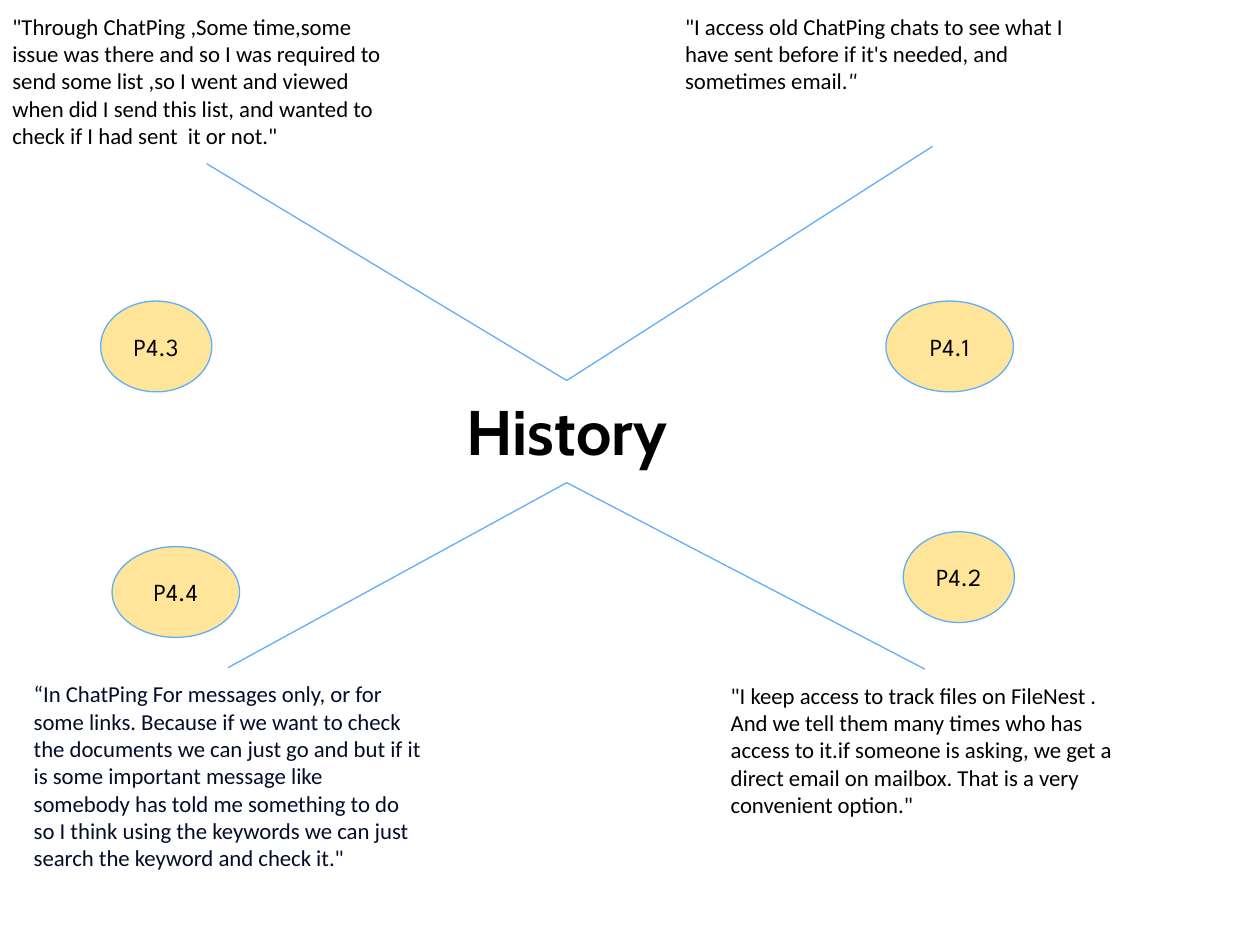
from collections import namedtuple

from lxml.etree import SubElement
from pptx import Presentation
from pptx.dml.color import RGBColor
from pptx.enum.shapes import MSO_CONNECTOR, MSO_SHAPE
from pptx.enum.text import MSO_ANCHOR, MSO_AUTO_SIZE, PP_ALIGN
from pptx.oxml.ns import qn
from pptx.util import Cm, Pt

COLORS = {"ink": "000000", "navy": "040C28", "line": "60AEFA", "badge": "FFE599"}
MARGIN = 0.25
QUOTE_WIDTH = 8.33
BADGE_HEIGHT = 1.83
TOP, BOTTOM = 0, 2

Box = namedtuple("Box", "left top width height")
# badge and line_end are offsets from the quote's top left corner;
# without line_end the line joins the side of the quote facing the theme
Branch = namedtuple("Branch", "label box badge badge_width ink line_end quote")

THEME_BOX = Box(7.26, 7.67, 8.33, 2.06)

BRANCHES = [
    Branch("P4.3", Box(0, 0, QUOTE_WIDTH, 3.3), (2.03, 6.07), 2.24, "ink", None,
           '"Through ChatPing ,Some time,some issue was there and so I was required '
           'to send some list ,so I went and viewed when did I send this list, and '
           'wanted to check if I had sent  it or not."'),
    Branch("P4.1", Box(13.56, 0, QUOTE_WIDTH, 2.18), (4.3, 6.07), 2.57, "ink", (5.24, 2.95),
           '"I access old ChatPing chats to see what I have sent before if it\'s '
           'needed, and sometimes email."'),
    Branch("P4.4", Box(0.43, 13.46, QUOTE_WIDTH, 4.39), (1.83, -2.44), 2.57, "navy", None,
           '“In ChatPing For messages only, or for some links. Because if we want '
           'to check the documents we can just go and but if it is some important '
           'message like somebody has told me something to do so I think using the '
           'keywords we can just search the keyword and check it."'),
    Branch("P4.2", Box(14.48, 13.49, QUOTE_WIDTH, 3.86), (3.73, -2.77), 2.24, "ink", None,
           '"I keep access to track files on FileNest . And we tell them many times '
           'who has access to it.if someone is asking, we get a direct email on '
           'mailbox. That is a very convenient option."'),
]


def color(name):
    return RGBColor.from_string(COLORS[name])


def set_all(target, values):
    for name, value in values.items():
        setattr(target, name, value)


def write(shape, text, font, ink="ink", align=PP_ALIGN.LEFT, **frame_format):
    frame = shape.text_frame
    set_all(frame, {"word_wrap": True, **frame_format})
    for side in ("left", "top", "right", "bottom"):
        setattr(frame, f"margin_{side}", Cm(MARGIN))
    paragraph = frame.paragraphs[0]
    paragraph.alignment = align
    run = paragraph.add_run()
    run.text = text
    set_all(run.font, font)
    run.font.color.rgb = color(ink)
    return paragraph


def style_line(line):
    line.color.rgb = color("line")
    line.width = Pt(0.75)


def add_text(slide, box, *args, **kwargs):
    text_box = slide.shapes.add_textbox(*map(Cm, box))
    write(text_box, *args, auto_size=MSO_AUTO_SIZE.SHAPE_TO_FIT_TEXT, **kwargs)
    return text_box


def add_theme(slide, box):
    return add_text(slide, box, "History", {"size": Pt(36), "name": "Cabin", "bold": True},
                    align=PP_ALIGN.CENTER)


def add_branch(slide, theme, branch):
    box = branch.box
    above = box.top < THEME_BOX.top

    # Quote
    quote = add_text(slide, box, branch.quote, {"size": Pt(13), "name": "Calibri"}, branch.ink)
    # The closing mark of the P4.1 quote is slanted
    if branch.label == "P4.1":
        run = quote.text_frame.paragraphs[0].runs[0]
        run.text = branch.quote[:-1]
        closing = quote.text_frame.paragraphs[0].add_run()
        closing.text = branch.quote[-1]
        set_all(closing.font, {"size": Pt(13), "name": "Calibri", "italic": True})
        closing.font.color.rgb = color(branch.ink)

    # Line from the theme to the quote
    dx, dy = branch.line_end or (box.width / 2, box.height if above else 0)
    start_y = THEME_BOX.top + (0 if above else THEME_BOX.height)
    link = slide.shapes.add_connector(
        MSO_CONNECTOR.STRAIGHT, Cm(THEME_BOX.left + THEME_BOX.width / 2), Cm(start_y),
        Cm(box.left + dx), Cm(box.top + dy))
    link.begin_connect(theme, TOP if above else BOTTOM)
    if branch.line_end is None:
        link.end_connect(quote, BOTTOM if above else TOP)
    style_line(link.line)
    SubElement(link._element.spPr, qn("a:effectLst"))

    # Participant badge
    badge_x, badge_y = branch.badge
    badge = slide.shapes.add_shape(
        MSO_SHAPE.OVAL, Cm(box.left + badge_x), Cm(box.top + badge_y),
        Cm(branch.badge_width), Cm(BADGE_HEIGHT))
    badge.shadow.inherit = False
    badge.fill.solid()
    badge.fill.fore_color.rgb = color("badge")
    style_line(badge.line)
    write(badge, branch.label, {"size": Pt(14), "name": "League Spartan"},
          align=PP_ALIGN.CENTER, vertical_anchor=MSO_ANCHOR.MIDDLE)


def main():
    deck = Presentation()
    set_all(deck, {"slide_width": Cm(25.4), "slide_height": Cm(19.05)})
    slide = deck.slides.add_slide(deck.slide_layouts[6])
    theme = add_theme(slide, THEME_BOX)
    for branch in BRANCHES:
        add_branch(slide, theme, branch)
    deck.save("out.pptx")


if __name__ == "__main__":
    main()
